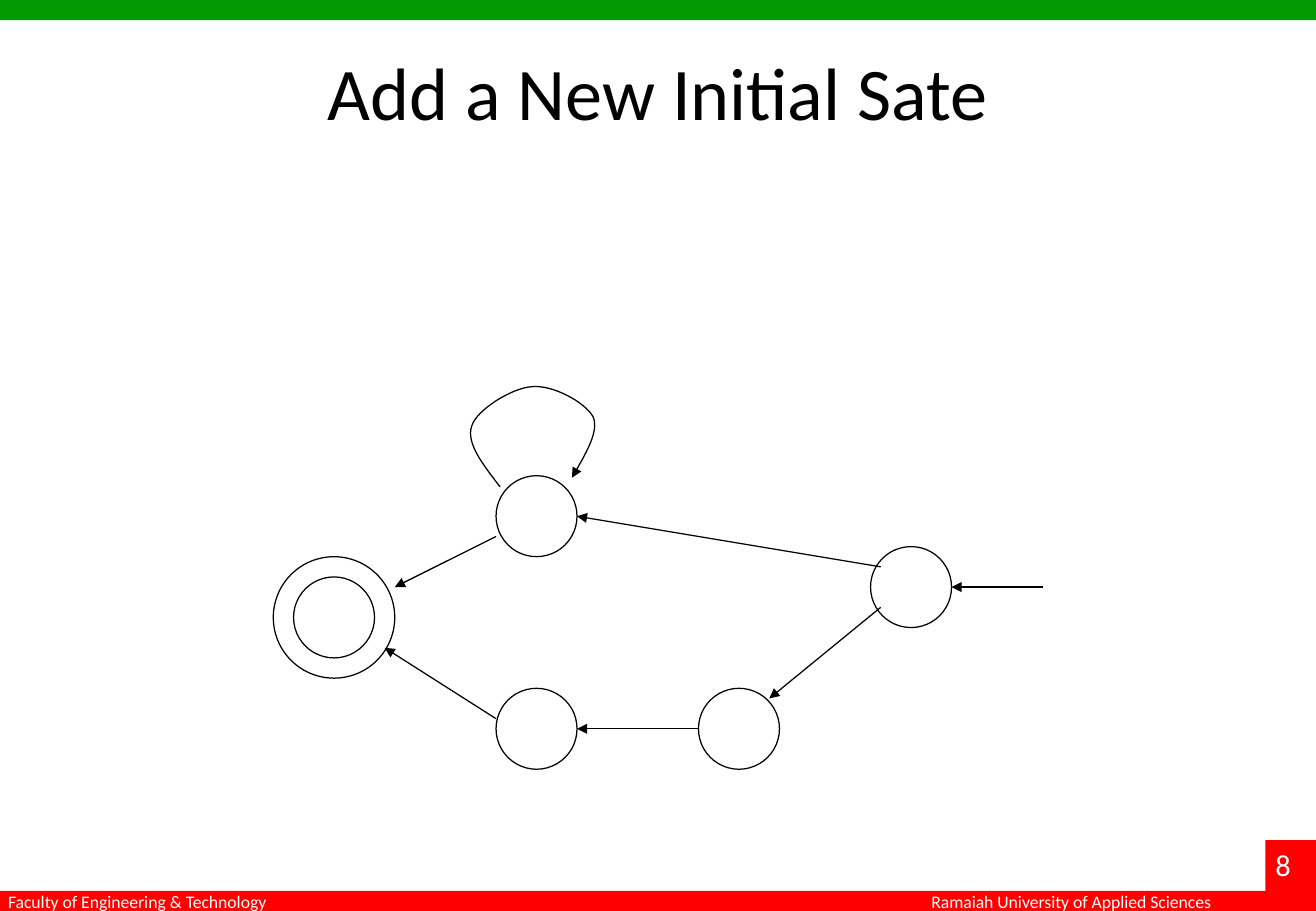
from dataclasses import dataclass

import pptx
import pptx.dml.color
import pptx.enum.shapes
import pptx.enum.text
import pptx.oxml.ns
import pptx.util
from lxml import etree

PX = 914400 // 120
SHAPES = pptx.enum.shapes.MSO_SHAPE
ALIGN = pptx.enum.text.PP_ALIGN


@dataclass(frozen=True)
class Theme:
    font: str = "Calibri"
    ink: str = "000000"
    paper: str = "FFFFFF"
    top: str = "009900"
    bottom: str = "FF0000"
    title: float = 44
    footer: float = 10.5
    number: float = 18
    line: float = 0.75


THEME = Theme()
WIDTH, HEIGHT = 1300, 900
BAR = 20
STATE = 80

# left, top, diameter
STATES = [
    (290, 570, STATE),
    (270, 550, 120),
    (490, 470, STATE),
    (490, 680, STATE),
    (690, 680, STATE),
    (860, 540, STATE),
]

# tail x, y, arrowhead x, y
TRANSITIONS = [
    (490, 710, 380, 640),
    (690, 720, 570, 720),
    (490, 530, 390, 580),
    (870, 560, 570, 510),
    (870, 600, 760, 690),
    (1030, 580, 940, 580),
]

LOOP_START = (494, 481)
LOOP_CURVES = [
    ((478, 460), (460, 438), (466, 421)),
    ((470, 406), (505, 383), (526, 382)),
    ((545, 380), (578, 397), (586, 412)),
    ((592, 427), (578, 449), (565, 472)),
]


def rgb(value):
    return pptx.dml.color.RGBColor.from_string(value)


def px(*lengths):
    return [n * PX for n in lengths]


def set_line(s):
    s.line.color.rgb = rgb(THEME.ink)
    s.line.width = pptx.util.Pt(THEME.line)


def add_arrowhead(s):
    ln = s.line._get_or_add_ln()
    etree.SubElement(ln, pptx.oxml.ns.qn("a:tailEnd"), type="triangle")


def add_bar(slide, x, y, w, h, color):
    s = slide.shapes.add_shape(SHAPES.RECTANGLE, *px(x, y, w, h))
    s.shadow.inherit = False
    s.fill.solid()
    s.fill.fore_color.rgb = rgb(color)
    s.line.fill.background()


def add_text(slide, x, y, w, h, text, size, color, align=ALIGN.LEFT, inset=6):
    tf = slide.shapes.add_textbox(*px(x, y, w, h)).text_frame
    tf.word_wrap = True
    tf.margin_left, tf.margin_right, tf.margin_top = px(8, 8, inset)
    p = tf.paragraphs[0]
    p.alignment = align
    r = p.add_run()
    r.text = text
    r.font.name = THEME.font
    r.font.size = pptx.util.Pt(size)
    r.font.color.rgb = rgb(color)


def add_state(slide, x, y, diameter):
    s = slide.shapes.add_shape(SHAPES.OVAL, *px(x, y, diameter, diameter))
    s.shadow.inherit = False
    s.fill.background()
    set_line(s)


def add_transition(slide, x1, y1, x2, y2):
    straight = pptx.enum.shapes.MSO_CONNECTOR.STRAIGHT
    s = slide.shapes.add_connector(straight, *px(x1, y1, x2, y2))
    set_line(s)
    add_arrowhead(s)
    etree.SubElement(s._element.spPr, pptx.oxml.ns.qn("a:effectLst"))


def curve_points(start, curves, steps=16):
    """Sample a chain of cubic Bezier curves, leaving out the start point."""
    points = []
    for c1, c2, end in curves:
        for i in range(1, steps + 1):
            t = i / steps
            u = 1 - t
            points.append(tuple(
                round((u**3 * a + 3 * u * u * t * b + 3 * u * t * t * c + t**3 * d) * PX)
                for a, b, c, d in zip(start, c1, c2, end)))
        start = end
    return points


def add_loop(slide, start, curves):
    builder = slide.shapes.build_freeform(*px(*start))
    builder.add_line_segments(curve_points(start, curves), close=False)
    s = builder.convert_to_shape()
    s.shadow.inherit = False
    s.fill.background()
    set_line(s)
    add_arrowhead(s)


def main():
    prs = pptx.Presentation()
    prs.slide_width, prs.slide_height = px(WIDTH, HEIGHT)
    slide = prs.slides.add_slide(prs.slide_layouts[6])

    add_bar(slide, 0, 0, WIDTH, BAR, THEME.top)
    add_bar(slide, 0, HEIGHT - BAR, WIDTH, BAR, THEME.bottom)
    add_bar(slide, WIDTH - 50, HEIGHT - 70, 50, 70, THEME.bottom)
    add_text(slide, 912, 874, 308, 26, "Ramaiah University of Applied Sciences",
             THEME.footer, THEME.paper)
    add_text(slide, 1252, 830, 48, 48, "8", THEME.number, THEME.paper)
    add_text(slide, 0, 874, 290, 26, "Faculty of Engineering & Technology",
             THEME.footer, THEME.paper)

    for state in STATES:
        add_state(slide, *state)
    for transition in TRANSITIONS:
        add_transition(slide, *transition)
    add_loop(slide, LOOP_START, LOOP_CURVES)

    add_text(slide, 65, 36, 1170, 150, "Add a New Initial Sate",
             THEME.title, THEME.ink, ALIGN.CENTER, inset=10)
    prs.save("out.pptx")


if __name__ == "__main__":
    main()
